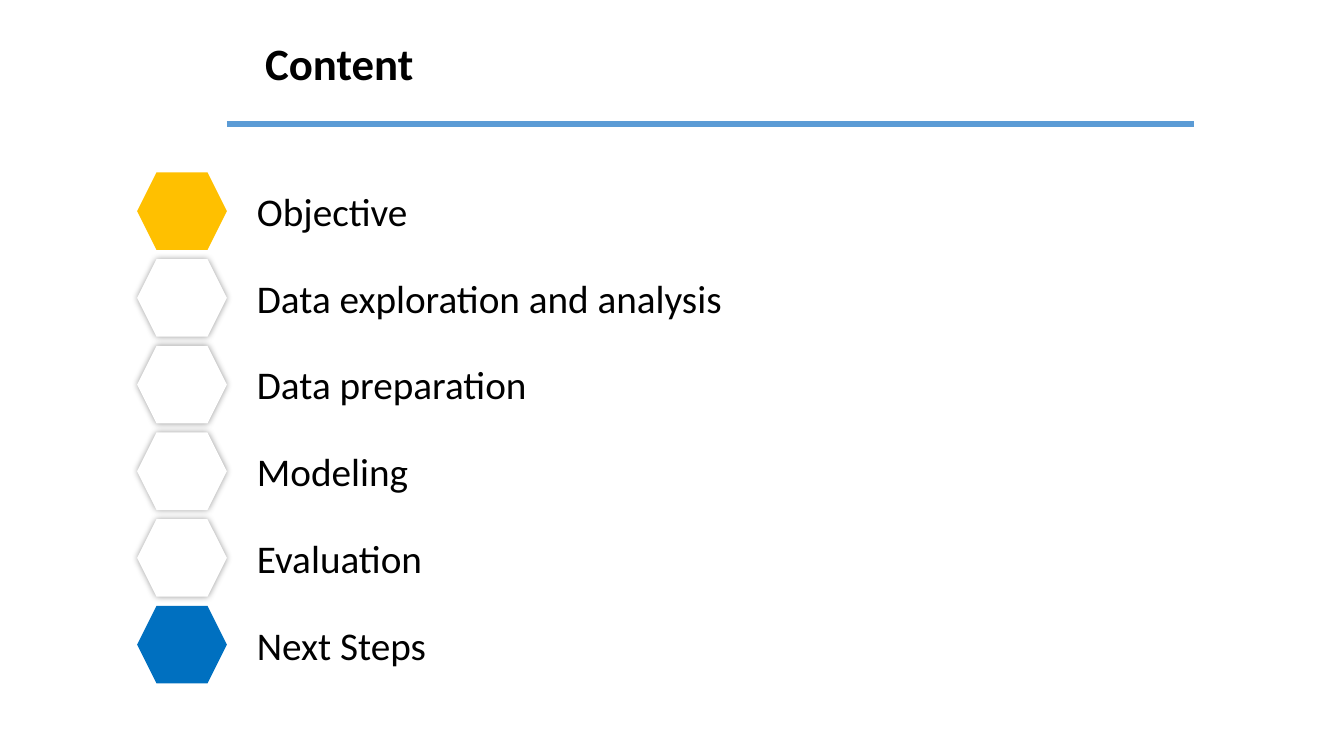
from lxml import etree
from pptx import Presentation
from pptx.dml.color import RGBColor
from pptx.enum.shapes import MSO_CONNECTOR, MSO_SHAPE
from pptx.enum.text import MSO_ANCHOR, PP_ALIGN
from pptx.oxml import parse_xml
from pptx.oxml.ns import nsdecls, qn
from pptx.util import Inches, Pt

BLACK = RGBColor(0x00, 0x00, 0x00)
WHITE = RGBColor(0xFF, 0xFF, 0xFF)
AMBER = RGBColor(0xFF, 0xC0, 0x00)
BLUE = RGBColor(0x00, 0x70, 0xC0)
RULE_BLUE = RGBColor(0x5B, 0x9B, 0xD5)
FONT = "Calibri"

AGENDA = [
    ("Objective", AMBER),
    ("Data exploration and analysis", WHITE),
    ("Data preparation", WHITE),
    ("Modeling", WHITE),
    ("Evaluation", WHITE),
    ("Next Steps", BLUE),
]
ROW_PITCH = 0.86
HEX_W, HEX_H = 0.89, 0.77


def add_text(tf, text, size, bold=False, align=PP_ALIGN.LEFT):
    tf.word_wrap = True
    tf.vertical_anchor = MSO_ANCHOR.TOP
    p = tf.paragraphs[0]
    p.alignment = align
    r = p.add_run()
    r.text = text
    r.font.name = FONT
    r.font.size = Pt(size)
    r.font.bold = bold
    r.font.color.rgb = BLACK


def add_soft_shadow(sp):
    effects = sp._element.spPr.find(qn("a:effectLst"))
    effects.append(parse_xml(
        f'<a:outerShdw {nsdecls("a")} blurRad="{Pt(5)}" dist="0" dir="0" '
        'rotWithShape="0"><a:srgbClr val="000000"><a:alpha val="40000"/>'
        '</a:srgbClr></a:outerShdw>'))


def add_header(slide, left, top, width):
    # Title
    title = slide.shapes.title
    title.left, title.top = Inches(left + 0.27), Inches(top)
    title.width, title.height = Inches(1.69), Inches(0.64)
    add_text(title.text_frame, "Content", 32, True, PP_ALIGN.CENTER)

    # Rule under the title
    y = Inches(top + 0.93)
    rule = slide.shapes.add_connector(
        MSO_CONNECTOR.STRAIGHT, Inches(left), y, Inches(left + width), y)
    rule.line.color.rgb = RULE_BLUE
    rule.line.width = Pt(4.5)
    etree.SubElement(rule._element.spPr, qn("a:effectLst"))


def add_agenda_row(slide, left, top, width, text, color):
    # Hexagon marker
    sp = slide.shapes.add_shape(MSO_SHAPE.HEXAGON, Inches(left), Inches(top),
                                Inches(HEX_W), Inches(HEX_H))
    sp.adjustments[0] = 0.25
    sp.rotation = 180
    sp.fill.solid()
    sp.fill.fore_color.rgb = color
    sp.line.fill.background()
    sp.shadow.inherit = False
    if color == WHITE:
        add_soft_shadow(sp)

    # Label
    indent = HEX_W + 0.2
    box = slide.shapes.add_textbox(Inches(left + indent), Inches(top + 0.1),
                                   Inches(width - indent), Inches(0.57))
    add_text(box.text_frame, text, 28)


def add_agenda(slide, left, top, width):
    for i, (text, color) in enumerate(AGENDA):
        add_agenda_row(slide, left, top + i * ROW_PITCH, width, text, color)


def main():
    prs = Presentation()
    prs.slide_width, prs.slide_height = Inches(13.33), Inches(7.5)
    slide = prs.slides.add_slide(prs.slide_layouts[5])
    add_header(slide, 2.25, 0.3, 9.59)
    add_agenda(slide, 1.36, 1.71, 10.48)
    prs.save("out.pptx")


if __name__ == "__main__":
    main()
